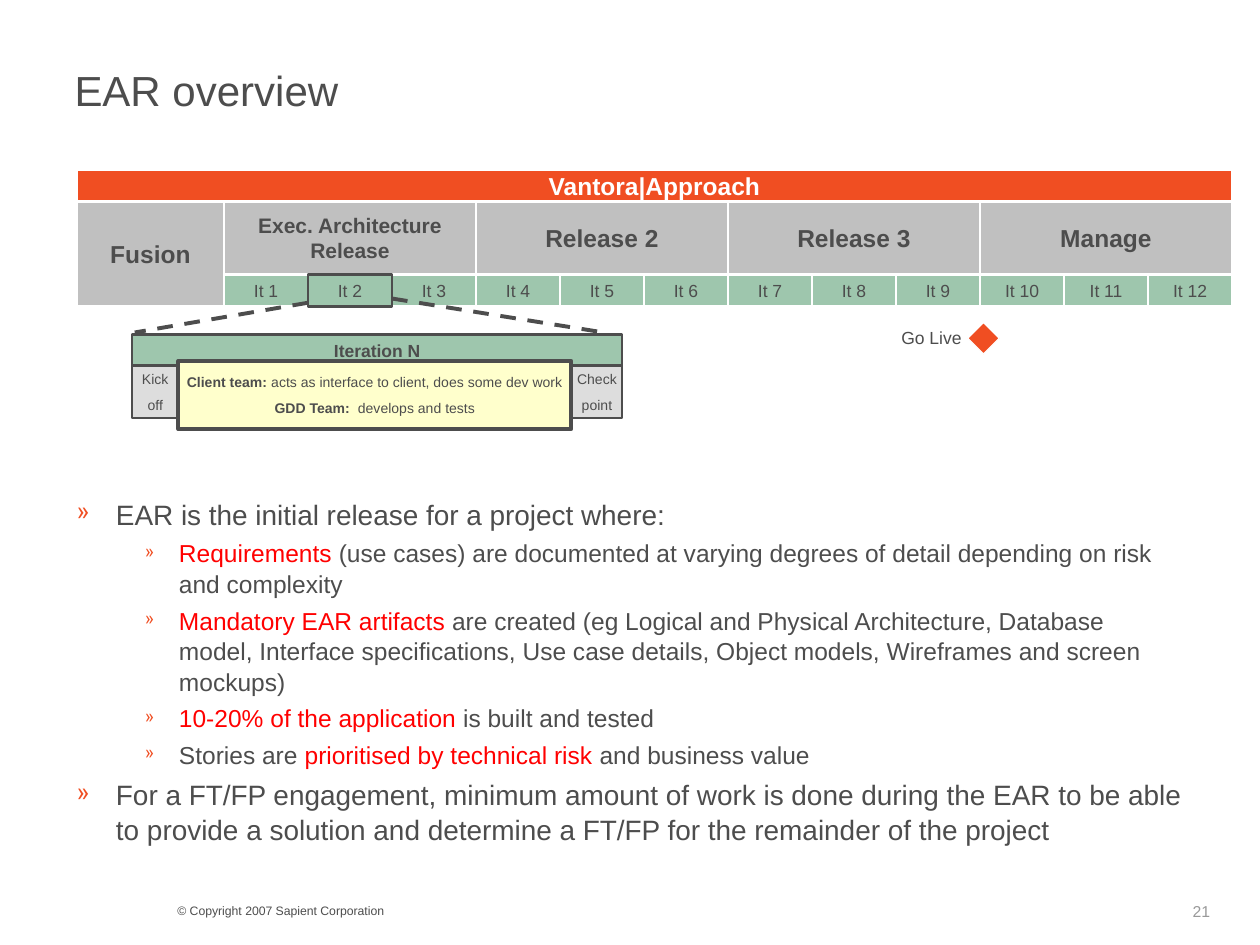
from pptx import Presentation
from pptx import util as u
from pptx.dml.color import RGBColor
from pptx.enum import dml, shapes, text
from pptx.oxml.ns import qn
from lxml import etree

Pt = u.Pt
MID = text.MSO_ANCHOR.MIDDLE
TOP = text.MSO_ANCHOR.TOP
LEFT = text.PP_ALIGN.LEFT
RIGHT = text.PP_ALIGN.RIGHT
CENTER = text.PP_ALIGN.CENTER


def hue(code):
    return RGBColor.from_string(code)


class Deck:
    font = "Arial"
    ink = "4D4D4D"
    red = "FF0000"
    brand = "F04E22"
    gray = "C0C0C0"
    pale = "DDDDDD"
    green = "9EC6AD"
    cream = "FFFFCC"
    white = "FFFFFF"

    def __init__(self, wide, high):
        self.file = Presentation()
        self.file.slide_width = Pt(wide)
        self.file.slide_height = Pt(high)
        self.slide = self.file.slides.add_slide(self.file.slide_layouts[6])

    def style(self, run, size, color, bold=False):
        run.font.name = self.font
        run.font.size = Pt(size)
        run.font.bold = bold
        run.font.color.rgb = hue(color)

    def frame(self, shape, anchor, pad, wrap):
        body = shape.text_frame
        body.word_wrap = wrap
        body.vertical_anchor = anchor
        body.margin_left = body.margin_right = Pt(pad)
        body.margin_top = body.margin_bottom = Pt(3.6)
        return body

    def fill(self, body, words, size, color, bold, align, gap=0):
        body.text = words
        for i, para in enumerate(body.paragraphs):
            para.alignment = align
            if i:
                para.space_before = Pt(gap)
            for run in para.runs:
                self.style(run, size, color, bold)

    def shape(self, kind, x, y, w, h, fill, line, width):
        item = self.slide.shapes.add_shape(kind, Pt(x), Pt(y), Pt(w), Pt(h))
        item.shadow.inherit = False
        item.fill.solid()
        item.fill.fore_color.rgb = hue(fill)
        item.line.color.rgb = hue(line)
        item.line.width = Pt(width)
        return item

    def box(self, x, y, w, h, words, fill, size, color=ink, bold=False,
            line=white, width=1.5, pad=7.2, wrap=True):
        item = self.shape(shapes.MSO_SHAPE.RECTANGLE, x, y, w, h, fill, line, width)
        body = self.frame(item, MID, pad, wrap)
        self.fill(body, words, size, color, bold, CENTER, 5)
        return body

    def label(self, x, y, w, h, words, size, color=ink, align=LEFT, anchor=MID):
        item = self.slide.shapes.add_textbox(Pt(x), Pt(y), Pt(w), Pt(h))
        body = self.frame(item, anchor, 7.2, True)
        self.fill(body, words, size, color, False, align)
        return body

    def dash(self, x1, y1, x2, y2):
        kind = shapes.MSO_CONNECTOR.STRAIGHT
        item = self.slide.shapes.add_connector(kind, Pt(x1), Pt(y1), Pt(x2), Pt(y2))
        item.line.color.rgb = hue(self.ink)
        item.line.width = Pt(2.25)
        item.line.dash_style = dml.MSO_LINE.DASH
        etree.SubElement(item._element.spPr, qn("a:effectLst"))

    def bullet(self, para, left, hang, scale):
        props = para._p.get_or_add_pPr()
        props.set("marL", str(Pt(left)))
        props.set("indent", str(-Pt(hang)))
        tint = etree.SubElement(props, qn("a:buClr"))
        etree.SubElement(tint, qn("a:srgbClr"), val=self.brand)
        etree.SubElement(props, qn("a:buSzPct"), val=str(scale * 1000))
        etree.SubElement(props, qn("a:buChar"), char="»")

    def items(self, x, y, w, h, rows):
        body = self.label(x, y, w, h, "", 16, anchor=TOP)
        for i, (level, parts) in enumerate(rows):
            para = body.add_paragraph() if i else body.paragraphs[0]
            para.level = level
            left, hang, scale, size, gap = (
                (58.5, 19.5, 70, 14, 3.5) if level else (22.5, 22.5, 85, 16, 4))
            self.bullet(para, left, hang, scale)
            para.line_spacing = 1.04
            if i:
                para.space_before = Pt(gap)
            for words, color in parts:
                run = para.add_run()
                run.text = words
                self.style(run, size, color)

    def team(self, x, y, w, h, rows):
        body = self.box(x, y, w, h, "\n".join(name for name, _ in rows), self.cream, 8,
                        bold=True, line=self.ink, width=2.25, wrap=False)
        for para, (_, task) in zip(body.paragraphs, rows):
            run = para.add_run()
            run.text = task
            self.style(run, 8, self.ink)


def main():
    deck = Deck(720, 540)
    ink, red = deck.ink, deck.red

    deck.label(94.3, 512.6, 288, 16, "© Copyright 2007 Sapient Corporation", 7)
    deck.label(674.5, 512, 45, 17.3, "21", 9, "999999")
    deck.label(35.5, 31.7, 648.7, 39.6, "EAR overview", 24)

    left, start, cell = 44, 128, 48
    head, top, row, high = 97, 115, 157, 18
    stage = 3 * cell
    deck.box(left, top, start - left, row + high - top, "Fusion", deck.gray, 14, bold=True)
    deck.box(left, head, start - left + 4 * stage, high, "Vantora|Approach",
             deck.brand, 14, deck.white, True)
    names = ["Exec. Architecture Release", "Release 2", "Release 3", "Manage"]
    for i, name in enumerate(names):
        deck.box(start + i * stage, top, stage, row - top, name, deck.gray,
                 14 if i else 12, bold=True)

    def step(n, line):
        deck.box(start + (n - 1) * cell, row, cell, high, f"It {n}", deck.green, 10,
                 line=line, pad=0)

    for n in range(1, 13):
        if n != 2:
            step(n, deck.white)

    deck.shape(shapes.MSO_SHAPE.DIAMOND, 553, 184.3, 18, 18, deck.brand, deck.white, 0.75)
    deck.label(498.5, 183, 58, 19.4, "Go Live", 10, align=RIGHT)

    deck.items(36.7, 280, 647.5, 219, [
        (0, [("EAR is the initial release for a project where:", ink)]),
        (1, [("Requirements ", red),
             ("(use cases) are documented at varying degrees of detail depending "
              "on risk and complexity", ink)]),
        (1, [("Mandatory EAR artifacts", red),
             (" are created (eg Logical and Physical Architecture, Database model, "
              "Interface specifications, Use case details, Object models, Wireframes "
              "and screen mockups)", ink)]),
        (1, [("10-20% of the application", red), (" is built and tested", ink)]),
        (1, [("Stories are ", ink), ("prioritised by technical risk", red),
             (" and business value", ink)]),
        (0, [("For a FT/FP engagement, minimum amount of work is done during the EAR "
              "to be able to provide a solution and determine a FT/FP for the "
              "remainder of the project", ink)]),
    ])

    deck.dash(start + cell, 173, 77, 190)
    deck.dash(start + 2 * cell, 170.6, 345, 190)
    deck.box(75.5, 191, 280, 18, "Iteration N", deck.green, 10, bold=True,
             line=ink, wrap=False)
    for x, w, words in [(75.5, 26.5, "Kick\noff"), (326.8, 28.7, "Check\npoint")]:
        deck.box(x, 209, w, 30, words, deck.pale, 8, line=ink, wrap=False)
    deck.team(102, 206.3, 224.5, 39, [
        ("Client team:", " acts as interface to client, does some dev work"),
        ("GDD Team: ", " develops and tests"),
    ])
    step(2, ink)

    deck.file.save("out.pptx")


if __name__ == "__main__":
    main()
